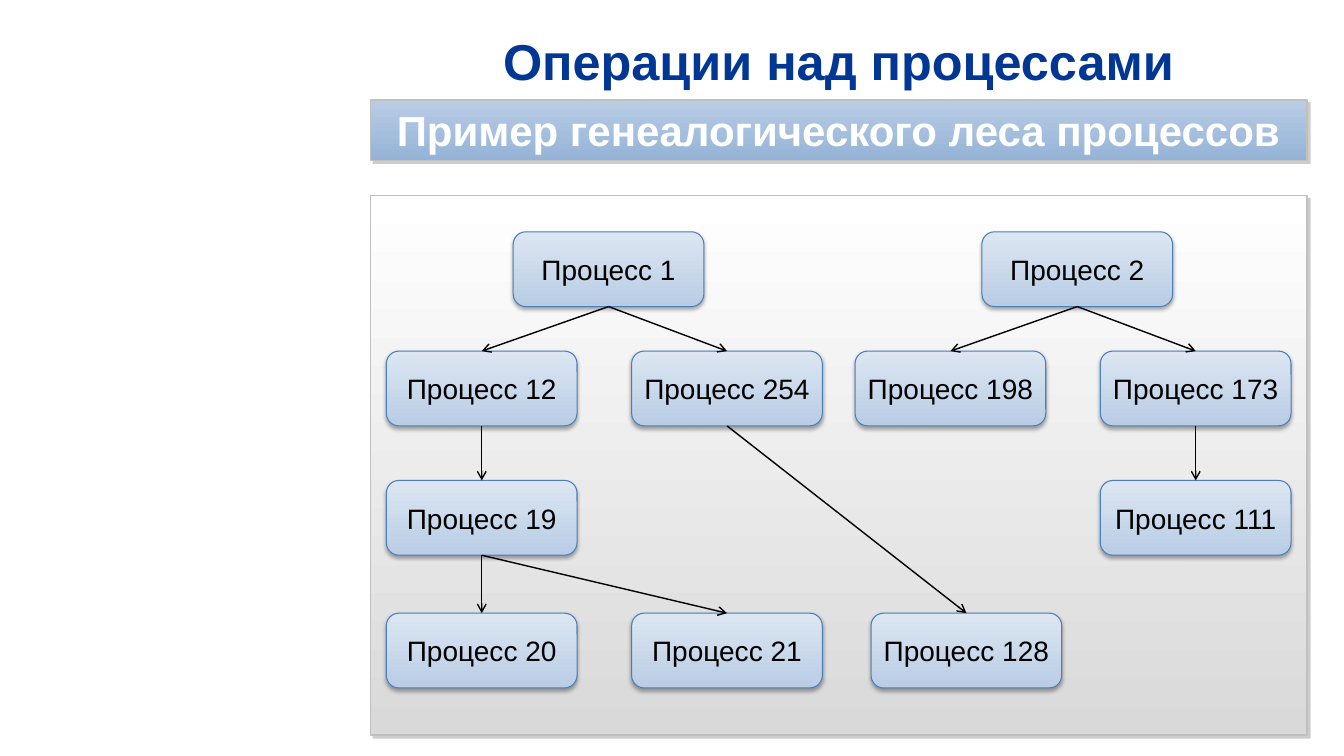
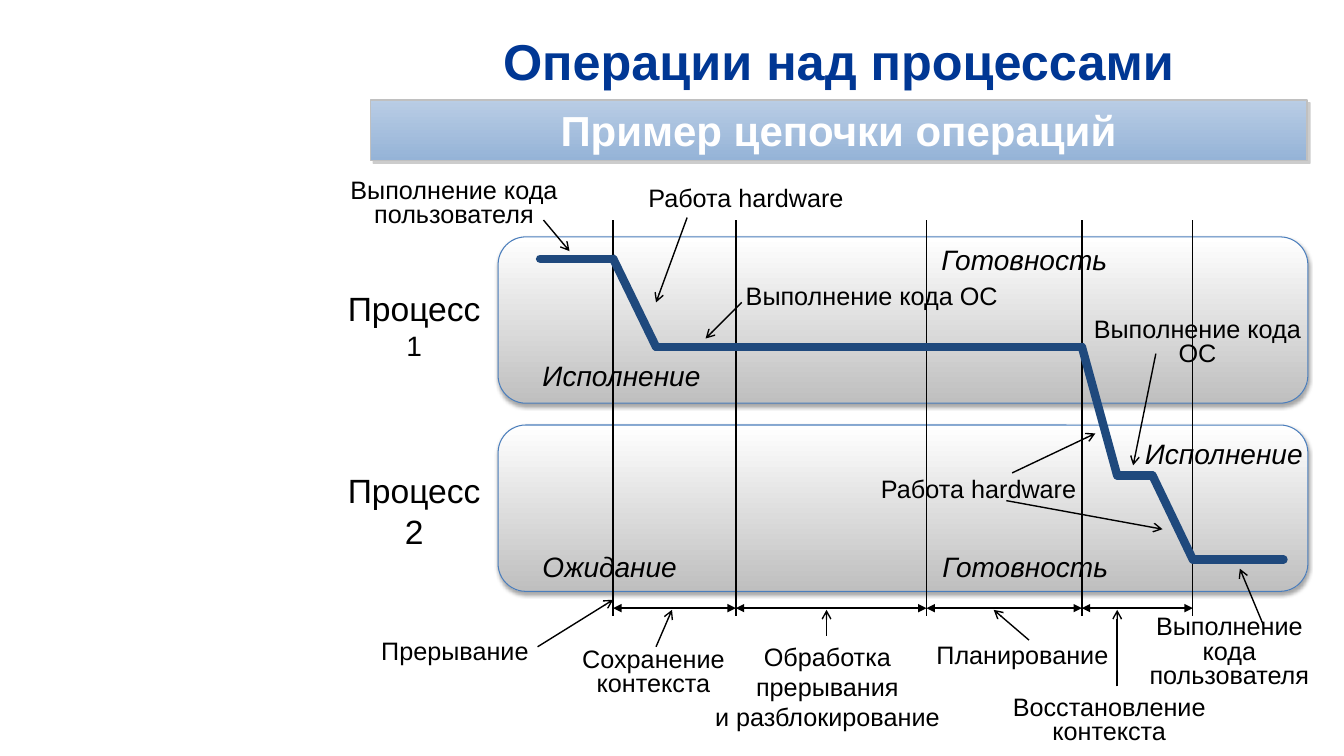
from dataclasses import dataclass

from lxml.etree import SubElement
from pptx import Presentation
from pptx.dml.color import RGBColor
from pptx.enum.shapes import MSO_CONNECTOR, MSO_SHAPE
from pptx.enum.text import MSO_ANCHOR, PP_ALIGN
from pptx.oxml.ns import qn
from pptx.util import Emu, Inches, Pt

COLS, ROWS = 160, 90


@dataclass(frozen=True)
class Theme:
    """Colours, type sizes and line widths shared by the slides."""
    font: str = "Arial"
    title: str = "003794"
    text: str = "000000"
    light: str = "FFFFFF"
    border: str = "C0C0C0"
    outline: str = "4B7EBC"
    trace: str = "1F497D"
    band_fill: tuple = ("B9CDE5", "95B3D7")
    panel_fill: tuple = ("FFFFFF", "D9D9D9")
    lane_fill: tuple = ("FFFFFF", "BFBFBF")
    node_fill: tuple = ("DCE6F2", "B9CDE5")
    hard_shadow: tuple = ("808080", 40, 0, 3, 45)
    soft_shadow: tuple = ("000000", 35, 3.1, 1.8, 90)
    title_size: int = 36
    band_size: int = 30
    lane_size: int = 24
    label_size: int = 20
    note_size: int = 18
    thin: float = 0.75
    line: float = 1
    thick: float = 6


T = Theme()


def write(tf, text, size=T.label_size, color=T.text, bold=False, italic=False,
          align=PP_ALIGN.CENTER, spacing=None):
    """Append text to a frame, starting a paragraph at each line end."""
    for i, part in enumerate(text.split("\n")):
        p = tf.add_paragraph() if i else tf.paragraphs[-1]
        p.alignment = align
        if spacing:
            p.line_spacing = spacing
        r = p.add_run()
        r.text = part
        r.font.name, r.font.size = T.font, Pt(size)
        r.font.bold, r.font.italic = bold, italic
        r.font.color.rgb = RGBColor.from_string(color)


class Deck:
    """Builds slides on a grid of columns and rows in one style."""

    def __init__(self):
        """Open an empty presentation."""
        self.prs = Presentation()
        self.prs.slide_width, self.prs.slide_height = Inches(13.33), Inches(7.5)
        self.s = None

    def x(self, cols):
        """Turn columns into a length."""
        return Emu(round(self.prs.slide_width * cols / COLS))

    def y(self, rows):
        """Turn rows into a length."""
        return Emu(round(self.prs.slide_height * rows / ROWS))

    def area(self, left, top, width, height):
        """Turn a grid area into lengths."""
        return self.x(left), self.y(top), self.x(width), self.y(height)

    def slide(self, title, subtitle):
        """Start a slide with its title and subtitle band."""
        self.s = self.prs.slides.add_slide(self.prs.slide_layouts[5])
        sp = self.s.shapes.title
        sp.left, sp.top, sp.width, sp.height = self.area(44.1, 3.1, 111.5, 8.2)
        sp.text_frame.vertical_anchor = MSO_ANCHOR.MIDDLE
        write(sp.text_frame, title, T.title_size, T.title, bold=True)
        sp = self.box((44.1, 11.9, 111.5, 7.2), T.band_fill)
        write(sp.text_frame, subtitle, T.band_size, T.light, bold=True)

    def box(self, area, colors, rounded=False):
        """Add a shaded rectangle with a shadow."""
        kind = MSO_SHAPE.ROUNDED_RECTANGLE if rounded else MSO_SHAPE.RECTANGLE
        sp = self.s.shapes.add_shape(kind, *self.area(*area))
        sp.fill.gradient()
        sp.fill.gradient_angle = 270
        for stop, color in zip(sp.fill.gradient_stops, colors):
            stop.color.rgb = RGBColor.from_string(color)
        sp.line.color.rgb = RGBColor.from_string(T.outline if rounded else T.border)
        sp.line.width = Pt(T.thin if rounded else T.line)
        self.shade(sp, *(T.soft_shadow if rounded else T.hard_shadow))
        tf = sp.text_frame
        tf.word_wrap, tf.vertical_anchor = True, MSO_ANCHOR.MIDDLE
        tf.margin_left = tf.margin_right = tf.margin_top = tf.margin_bottom = 0
        return sp

    def shade(self, sp, color, opacity, blur, dist, angle):
        """Give a shape an outer shadow."""
        sp.shadow.inherit = False
        effects = sp._element.spPr.find(qn("a:effectLst"))
        shadow = SubElement(effects, qn("a:outerShdw"), blurRad=str(Pt(blur)),
                            dist=str(Pt(dist)), dir=str(angle * 60000),
                            algn="tl", rotWithShape="0")
        rgb = SubElement(shadow, qn("a:srgbClr"), val=color)
        SubElement(rgb, qn("a:alpha"), val=str(opacity * 1000))

    def label(self, text, area, **fmt):
        """Add a wrapped text box."""
        tf = self.s.shapes.add_textbox(*self.area(*area)).text_frame
        tf.word_wrap = True
        write(tf, text, **fmt)
        return tf

    def line(self, x1, y1, x2, y2, color=T.text, width=T.line, head=None,
             tail=None, cap="flat"):
        """Add a straight line with optional arrowheads."""
        c = self.s.shapes.add_connector(MSO_CONNECTOR.STRAIGHT, self.x(x1),
                                        self.y(y1), self.x(x2), self.y(y2))
        c.line.color.rgb = RGBColor.from_string(color)
        c.line.width = Pt(width)
        spPr = c._element.spPr
        ln = spPr.find(qn("a:ln"))
        ln.set("cap", cap)
        for end, kind in (("a:headEnd", head), ("a:tailEnd", tail)):
            if kind:
                SubElement(ln, qn(end), type=kind)
        SubElement(spPr, qn("a:effectLst"))
        return c

    def link(self, parent, child):
        """Join the bottom of one box to the top of another."""
        c = self.line(0, 0, 1, 1, tail="arrow")
        c.begin_connect(parent, 2)
        c.end_connect(child, 0)


def forest_slide(deck):
    """Draw the forest of processes."""
    deck.slide("Операции над процессами", "Пример генеалогического леса процессов")
    deck.box((44.1, 23.3, 111.5, 64.2), T.panel_fill)
    left, root, right, tree = 46, 61.1, 75.2, 55.8
    tops = (27.6, 41.8, 57.2, 73)
    processes = (
        (1, root, 0, None), (12, left, 1, 1), (254, right, 1, 1),
        (2, root + tree, 0, None), (198, left + tree, 1, 2),
        (173, right + tree, 1, 2), (19, left, 2, 12),
        (111, right + tree, 2, 173), (20, left, 3, 19),
        (21, right, 3, 19), (128, 103.7, 3, 254),
    )
    nodes = {}
    for number, col, level, _ in processes:
        nodes[number] = deck.box((col, tops[level], 22.7, 8.9), T.node_fill, True)
        write(nodes[number].text_frame, f"Процесс {number}")
    for number, _, _, parent in processes:
        if parent:
            deck.link(nodes[parent], nodes[number])


def chain_slide(deck):
    """Draw the chain of operations over time."""
    deck.slide("Операции над процессами", "Пример цепочки операций")
    for top in (28.2, 50.6):
        deck.box((59.3, top, 96.4, 19.8), T.lane_fill, True)
    tf = deck.label("Процесс", (40, 33.7, 18.6, 10.1), size=T.lane_size)
    write(tf, " 1")
    deck.label("Процесс 2", (40, 55.4, 18.6, 10.9), size=T.lane_size)

    for text, col, row in (
            ("Исполнение", 63.4, 42.1), ("Ожидание", 63.4, 64.8),
            ("Готовность", 111, 64.8), ("Готовность", 110.9, 28.3),
            ("Исполнение", 135.1, 51.4)):
        deck.label(text, (col, row, 24, 5.3), italic=True, align=PP_ALIGN.LEFT)

    moments = (73, 87.6, 110.3, 128.8, 142)
    for x in moments:
        deck.line(x, 26.2, x, 73.3)
    for start, end in zip(moments, moments[1:]):
        deck.line(start, 72.4, end, 72.4, head="triangle", tail="triangle")

    trace = ((64.3, 30.8), (73, 30.8), (78.1, 41.3), (87.6, 41.3),
             (110.3, 41.3), (128.8, 41.3), (133, 56.6), (137.2, 56.6),
             (142, 66.6), (152.8, 66.6))
    for start, end in zip(trace, trace[1:]):
        deck.line(*start, *end, color=T.trace, width=T.thick, cap="rnd")

    for text, col, row, width in (
            ("Прерывание", 44.2, 75, 21.2), ("Работа hardware", 76, 21.1, 26.2),
            ("Выполнение кода ОС", 87.6, 32.8, 37),
            ("Планирование", 110.3, 75.5, 23.9),
            ("Работа hardware", 103.7, 55.8, 26.4)):
        deck.label(text, (col, row, width, 4.8), size=T.note_size,
                   align=PP_ALIGN.LEFT)
    for text, col, row, width, height in (
            ("Выполнение кода пользователя", 40.2, 20.8, 27.7, 7.1),
            ("Сохранение контекста", 67.8, 76.7, 20, 7.1),
            ("Выполнение кода\nОС", 128.9, 37.4, 27.3, 7.1),
            ("Восстановление контекста", 118.9, 82.4, 26.3, 7.1),
            ("Выполнение кода пользователя", 134.3, 72.8, 24.1, 10)):
        deck.label(text, (col, row, width, height), size=T.note_size, spacing=0.8)
    deck.label("Обработка прерывания\nи разблокирование", (83.9, 75.7, 29.2, 12.1),
               size=T.note_size)

    for pointer in (
            (64.7, 26.2, 67.8, 29.9), (64, 77, 73, 71.4),
            (81.8, 25.9, 78.1, 36), (88.3, 36, 84, 40.3),
            (78.1, 77, 80, 72.6), (98.4, 75.7, 98.4, 72.6),
            (122.5, 76.2, 118.3, 72.6), (120.5, 56.3, 130.4, 51.6),
            (137.6, 42.1, 134.9, 55.4), (119.8, 59.6, 138.4, 63),
            (133, 81.7, 133, 72.6), (150.4, 74.4, 147.6, 67.7)):
        deck.line(*pointer, tail="arrow")


def main():
    """Build and save the presentation."""
    deck = Deck()
    forest_slide(deck)
    chain_slide(deck)
    deck.prs.save("out.pptx")


if __name__ == "__main__":
    main()
